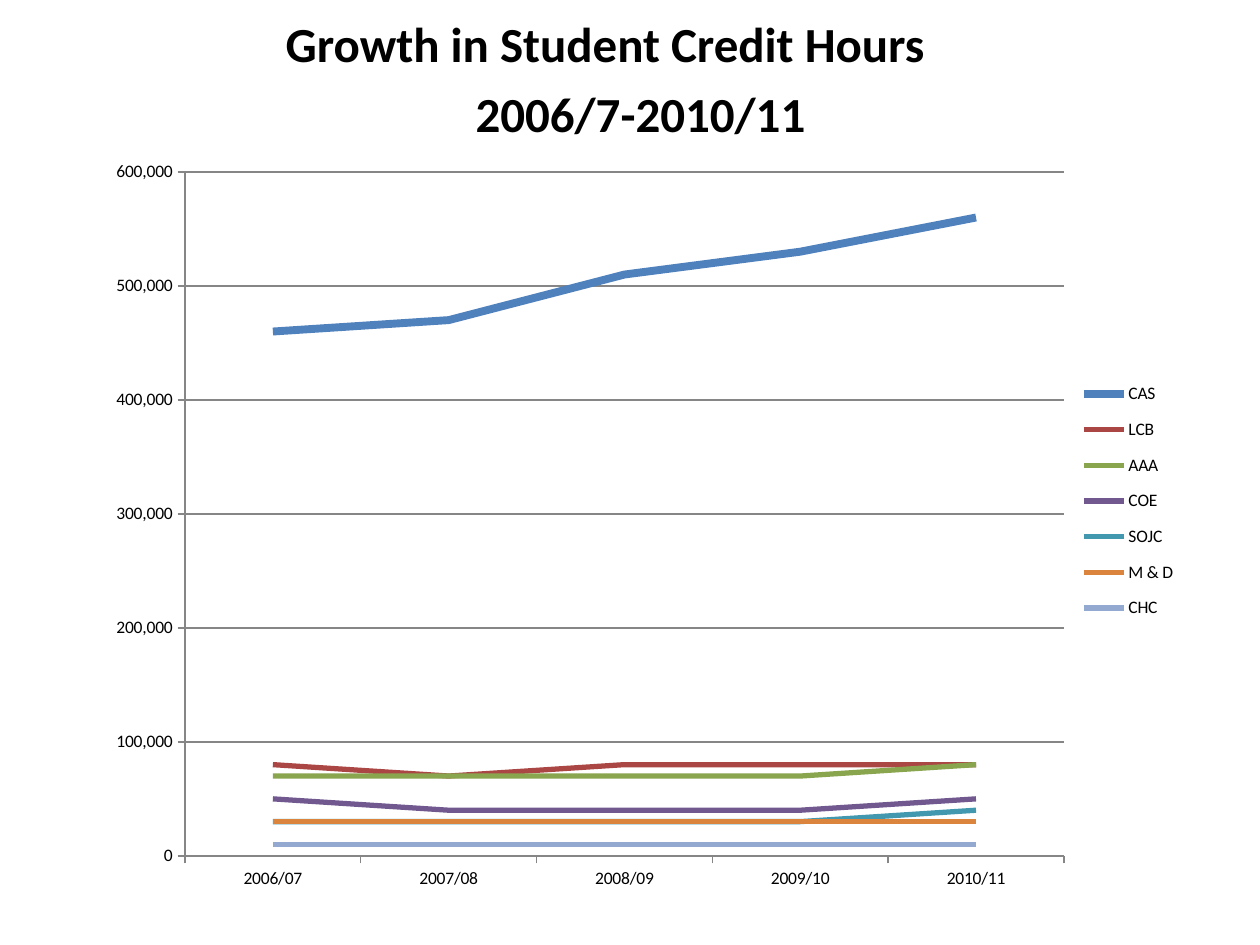
import dataclasses

import pptx
import pptx.chart.data
import pptx.dml.color
import pptx.enum.chart
import pptx.enum.text
import pptx.oxml
import pptx.oxml.ns
import pptx.util

SCALE = 914400 / 126
FONT = "Calibri"
HEX = {
    "text": "000000", "axis": "868686",
    "CAS": "4F81BD", "LCB": "AA4643", "AAA": "89A54E", "COE": "71588F",
    "SOJC": "4198AF", "M & D": "DB843D", "CHC": "93A9CF",
}
YEARS = ["2006/07", "2007/08", "2008/09", "2009/10", "2010/11"]


@dataclasses.dataclass
class Box:
    left: int
    top: int
    width: int
    height: int

    def emu(self) -> list[int]:
        return [px(n) for n in dataclasses.astuple(self)]


@dataclasses.dataclass
class School:
    name: str
    hours: list[int]
    weight: float = 3


SCHOOLS = [
    School("CAS", [460000, 470000, 510000, 530000, 560000], 4.5),
    School("LCB", [80000, 70000, 80000, 80000, 80000]),
    School("AAA", [70000, 70000, 70000, 70000, 80000]),
    School("COE", [50000, 40000, 40000, 40000, 50000]),
    School("SOJC", [30000, 30000, 30000, 30000, 40000]),
    School("M & D", [30000, 30000, 30000, 30000, 30000]),
    School("CHC", [10000, 10000, 10000, 10000, 10000]),
]
HEAD = Box(21, 0, 1239, 945)
CHART = Box(95, 147, 1102, 756)
PLOT = Box(185, 172, 879, 684)
KEY = Box(1076, 368, 105, 266)


def px(n: int) -> pptx.util.Emu:
    return pptx.util.Emu(round(n * SCALE))


def rgb(name: str) -> pptx.dml.color.RGBColor:
    return pptx.dml.color.RGBColor.from_string(HEX[name])


def style(font, *, size: float, color: str = "text", bold: bool = False) -> None:
    font.name = FONT
    font.size = pptx.util.Pt(size)
    font.bold = bold
    font.color.rgb = rgb(color)


def write(para, text: str, *, align, indent: int = 0, gap: float = 0,
          **look) -> None:
    para.alignment = align
    para.space_before = pptx.util.Pt(gap)
    props = para._p.get_or_add_pPr()
    props.set("marL", str(px(indent)))
    props.set("indent", "0")
    run = para.add_run()
    run.text = text
    style(run.font, **look)


def stroke(line, color: str, weight: float) -> None:
    line.color.rgb = rgb(color)
    line.width = pptx.util.Pt(weight)


def place(owner, box: Box, after: str, inner: bool = False) -> None:
    """Fix a plot area or legend at a box on the slide."""
    for old in owner.findall(pptx.oxml.ns.qn("c:layout")):
        owner.remove(old)
    parts = {
        "x": (box.left - CHART.left) / CHART.width,
        "y": (box.top - CHART.top) / CHART.height,
        "w": box.width / CHART.width,
        "h": box.height / CHART.height,
    }
    target = '<c:layoutTarget val="inner"/>' if inner else ""
    modes = '<c:xMode val="edge"/><c:yMode val="edge"/>'
    sizes = "".join(f'<c:{k} val="{v:.4f}"/>' for k, v in parts.items())
    layout = pptx.oxml.parse_xml(
        f'<c:layout {pptx.oxml.ns.nsdecls("c")}><c:manualLayout>'
        f"{target}{modes}{sizes}</c:manualLayout></c:layout>")
    prior = owner.find(pptx.oxml.ns.qn(after)) if after else None
    owner.insert(0 if prior is None else owner.index(prior) + 1, layout)


def draw_head(slide) -> None:
    title, body = slide.placeholders
    title.element.getparent().remove(title.element)
    body.left, body.top, body.width, body.height = HEAD.emu()
    frame = body.text_frame
    frame.auto_size = pptx.enum.text.MSO_AUTO_SIZE.NONE
    frame.vertical_anchor = pptx.enum.text.MSO_ANCHOR.TOP
    frame.margin_top = px(13)
    align = pptx.enum.text.PP_ALIGN
    write(frame.paragraphs[0], "Growth in Student Credit Hours",
          align=align.LEFT, indent=252, size=28, bold=True)
    write(frame.add_paragraph(), "2006/7-2010/11",
          align=align.CENTER, gap=6.6, size=28, bold=True)


def draw_chart(slide) -> None:
    kinds = pptx.enum.chart
    data = pptx.chart.data.CategoryChartData(number_format="#,##0")
    data.categories = YEARS
    for school in SCHOOLS:
        data.add_series(school.name, school.hours)
    chart = slide.shapes.add_chart(
        kinds.XL_CHART_TYPE.LINE, *CHART.emu(), data).chart
    style(chart.font, size=10)
    chart.has_title = False
    chart.has_legend = True
    chart.legend.position = kinds.XL_LEGEND_POSITION.RIGHT
    chart.legend.include_in_layout = False
    plot = chart.plots[0]
    plot.vary_by_categories = False
    for line, school in zip(plot.series, SCHOOLS):
        line.smooth = False
        line.marker.style = kinds.XL_MARKER_STYLE.NONE
        stroke(line.format.line, school.name, school.weight)

    for axis in (chart.category_axis, chart.value_axis):
        axis.major_tick_mark = kinds.XL_TICK_MARK.OUTSIDE
        axis.minor_tick_mark = kinds.XL_TICK_MARK.NONE
        stroke(axis.format.line, "axis", 0.75)
    axis = chart.value_axis
    axis.minimum_scale, axis.maximum_scale, axis.major_unit = 0, 600000, 100000
    axis.tick_labels.number_format = "#,##0"
    axis.tick_labels.number_format_is_linked = False
    axis.has_major_gridlines = True
    stroke(axis.major_gridlines.format.line, "axis", 0.75)

    area = chart.element.find(".//" + pptx.oxml.ns.qn("c:plotArea"))
    place(area, PLOT, "", inner=True)
    key = chart.element.find(".//" + pptx.oxml.ns.qn("c:legend"))
    place(key, KEY, "c:legendPos")


def main() -> None:
    deck = pptx.Presentation()
    deck.slide_width, deck.slide_height = px(1260), px(945)
    slide = deck.slides.add_slide(deck.slide_layouts[0])
    draw_head(slide)
    draw_chart(slide)
    deck.save("out.pptx")


if __name__ == "__main__":
    main()
